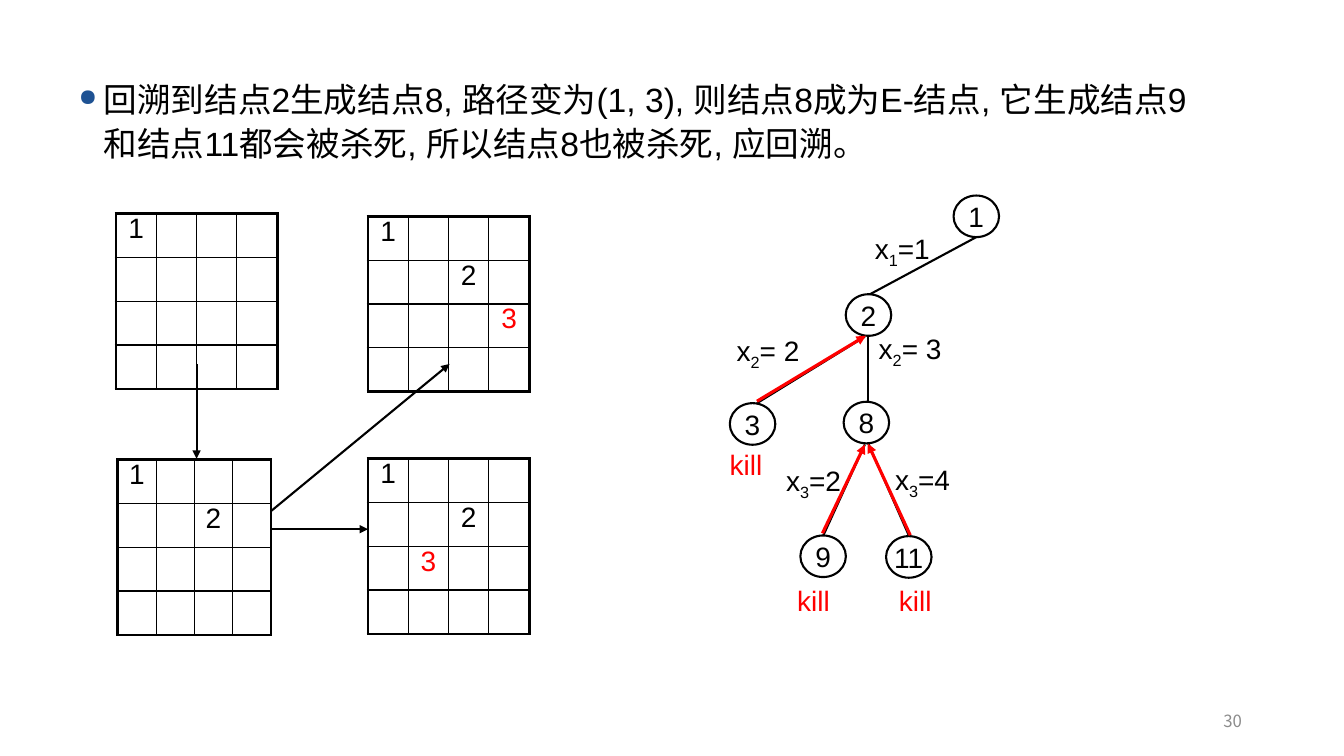
from dataclasses import dataclass, field

from lxml import etree
from pptx import Presentation
from pptx.dml.color import RGBColor
from pptx.enum.shapes import MSO_CONNECTOR as Connector, MSO_SHAPE as Shape
from pptx.enum.text import MSO_ANCHOR as Anchor, PP_ALIGN as Align
from pptx.oxml.ns import qn
from pptx.util import Pt

BLACK, RED, BLUE, GRAY = "000000", "FF0000", "1E5293", "8C8C8C"
BOARD_SIZE, ROW_HEIGHT = 4, 31.3
NODE_WIDTH, NODE_HEIGHT = 32.5, 29.7


@dataclass
class Node:
    name: str
    left: float
    top: float


@dataclass
class Line:
    start: tuple[float, float]
    end: tuple[float, float]
    color: str = BLACK
    width: float = 1.5
    arrow: bool = False


@dataclass
class Label:
    pieces: list[str]  # every second piece is a subscript
    left: float
    top: float
    width: float
    height: float = 28
    color: str = BLACK
    spacing: float = 1.0


@dataclass
class Board:
    left: float
    top: float
    width: float
    queens: dict[tuple[int, int], str] = field(default_factory=dict)


def rgb(color: str) -> RGBColor:
    return RGBColor.from_string(color)


def write(frame, pieces: list[str], *, size: float = 20, color: str = BLACK,
          font: str = "Arial", align=Align.LEFT, spacing: float = 1.0):
    paragraph = frame.paragraphs[0]
    paragraph.alignment = align
    paragraph.line_spacing = spacing
    for index, piece in enumerate(pieces):
        run = paragraph.add_run()
        run.text = piece
        run.font.size = Pt(size)
        run.font.name = font
        run.font.color.rgb = rgb(color)
        if index % 2:
            run.font._element.set("baseline", "-25000")
    return paragraph


def add_text(slide, left: float, top: float, width: float, height: float,
             pieces: list[str], anchor=Anchor.TOP, **style):
    box = slide.shapes.add_textbox(Pt(left), Pt(top), Pt(width), Pt(height))
    box.text_frame.word_wrap = True
    box.text_frame.vertical_anchor = anchor
    return write(box.text_frame, pieces, **style)


def add_bullet(paragraph, indent: float) -> None:
    properties = paragraph._p.get_or_add_pPr()
    properties.set("marL", str(Pt(indent)))
    properties.set("indent", str(-Pt(indent)))
    color = etree.SubElement(properties, qn("a:buClr"))
    etree.SubElement(color, qn("a:srgbClr"), val=BLUE)
    etree.SubElement(properties, qn("a:buSzPct"), val="70000")
    etree.SubElement(properties, qn("a:buChar"), char="●")


def add_node(slide, node: Node) -> None:
    shape = slide.shapes.add_shape(Shape.OVAL, Pt(node.left), Pt(node.top),
                                   Pt(NODE_WIDTH), Pt(NODE_HEIGHT))
    shape.shadow.inherit = False
    shape.fill.background()
    shape.line.color.rgb = rgb(BLACK)
    shape.line.width = Pt(1.5)
    shape.text_frame.word_wrap = False
    shape.text_frame.vertical_anchor = Anchor.MIDDLE
    write(shape.text_frame, [node.name], align=Align.CENTER)


def add_line(slide, line: Line) -> None:
    connector = slide.shapes.add_connector(
        Connector.STRAIGHT, *(Pt(value) for value in line.start + line.end))
    connector.line.color.rgb = rgb(line.color)
    connector.line.width = Pt(line.width)
    if line.arrow:
        etree.SubElement(connector.line._get_or_add_ln(), qn("a:tailEnd"), type="triangle")
    etree.SubElement(connector._element.spPr, qn("a:effectLst"))


def add_borders(cell, row: int, column: int) -> None:
    last = BOARD_SIZE - 1
    outer = {"L": column == 0, "R": column == last, "T": row == 0, "B": row == last}
    properties = cell._tc.get_or_add_tcPr()
    for index, (side, thick) in enumerate(outer.items()):
        border = etree.Element(qn(f"a:ln{side}"), w=str(Pt(2.25 if thick else 1)))
        fill = etree.SubElement(border, qn("a:solidFill"))
        etree.SubElement(fill, qn("a:srgbClr"), val=BLACK)
        properties.insert(index, border)


def add_board(slide, board: Board) -> None:
    table = slide.shapes.add_table(
        BOARD_SIZE, BOARD_SIZE, Pt(board.left), Pt(board.top),
        Pt(board.width), Pt(BOARD_SIZE * ROW_HEIGHT)).table
    table.first_row = table.horz_banding = False
    for row in range(BOARD_SIZE):
        for column in range(BOARD_SIZE):
            cell = table.cell(row, column)
            cell.fill.background()
            add_borders(cell, row, column)
            queen = board.queens.get((row, column))
            if queen:
                write(cell.text_frame, [queen], align=Align.CENTER, spacing=0.8,
                      color=RED if queen == "3" else BLACK)


NODES = [
    Node("1", 681.1, 139.7), Node("2", 604.1, 210.2), Node("3", 521.3, 288),
    Node("8", 602.6, 287), Node("9", 571.7, 382.5), Node("11", 632.9, 383),
]
LINES = [
    # Tree edges
    Line((697.7, 169.2), (621.4, 210.2)),
    Line((617.8, 240.5), (540.7, 288)),
    Line((619.9, 239.8), (619.9, 286.6)),
    Line((617.8, 317.5), (588.2, 382.3)),
    Line((619.9, 316.1), (649.4, 383)),
    # Backtracking steps
    Line((540.7, 286.6), (618.5, 239.8), RED, 2.25, True),
    Line((587.5, 380.9), (617.8, 317.5), RED, 2.25, True),
    Line((650.2, 382.3), (619.9, 316.8), RED, 2.25, True),
    # Moves between boards
    Line((140.4, 260), (140.4, 327.6), arrow=True),
    Line((193.7, 378), (262.8, 378), arrow=True),
    Line((193.7, 365), (321.1, 260), arrow=True),
]
LABELS = [
    Label(["x", "1", "=1"], 617.8, 162, 57),
    Label(["x", "2", "= 2"], 519.1, 234.7, 80),
    Label(["x", "2", "= 3"], 620.6, 233.3, 61.2),
    Label(["x", "3", "=2"], 554.4, 327.6, 58.3),
    Label(["x", "3", "=4"], 632.2, 326.9, 61.2),
    *(Label(["kill"], left, top, 47, 25, RED, 0.8)
      for left, top in [(514.1, 321.1), (562.3, 417.6), (635, 417.6)]),
]
BOARDS = [
    Board(82.8, 152.6, 115.2, {(0, 0): "1"}),
    Board(262.8, 154.5, 115.2, {(0, 0): "1", (1, 2): "2", (2, 3): "3"}),
    Board(84.2, 328.3, 109.4, {(0, 0): "1", (1, 2): "2"}),
    Board(262.8, 327.6, 115.2, {(0, 0): "1", (1, 2): "2", (2, 1): "3"}),
]


def main() -> None:
    presentation = Presentation()
    presentation.slide_width, presentation.slide_height = Pt(960), Pt(540)
    slide = presentation.slides.add_slide(presentation.slide_layouts[6])

    # Explanation
    explanation = add_text(
        slide, 49, 49.7, 822.2, 71.3,
        ["回溯到结点2生成结点8, 路径变为(1, 3), 则结点8成为E-结点, 它生成"
         "结点9和结点11都会被杀死, 所以结点8也被杀死, 应回溯。"],
        size=24, spacing=1.1)
    add_bullet(explanation, 18)

    # Boards, then the search tree
    for board in BOARDS:
        add_board(slide, board)
    for node in NODES:
        add_node(slide, node)
    for line in LINES:
        add_line(slide, line)
    for label in LABELS:
        add_text(slide, label.left, label.top, label.width, label.height,
                 label.pieces, color=label.color, spacing=label.spacing)

    # Page number
    add_text(slide, 678.2, 500.4, 216, 28.8, ["30"], Anchor.MIDDLE, size=12,
             color=GRAY, font="Noto Sans CJK SC", align=Align.RIGHT)
    presentation.save("out.pptx")


if __name__ == "__main__":
    main()
